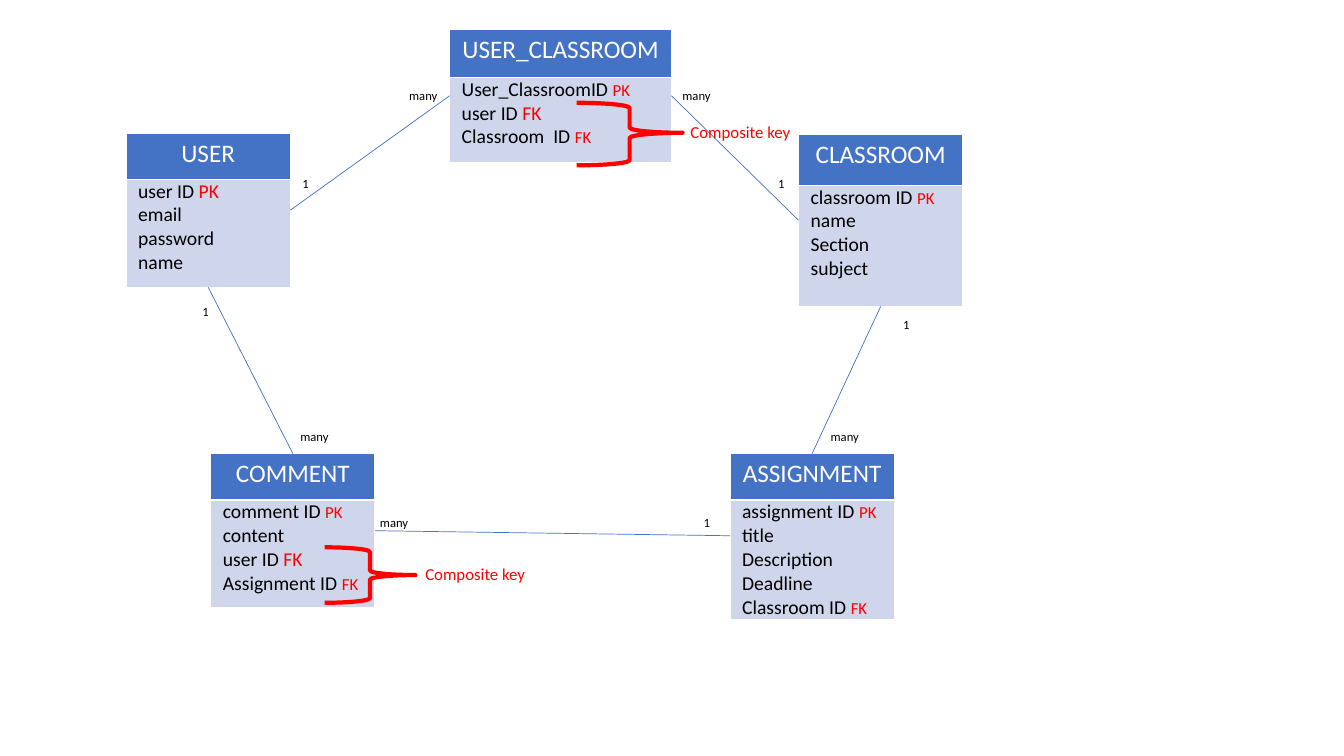
from dataclasses import dataclass

from lxml.etree import SubElement
from pptx import Presentation
from pptx.dml.color import RGBColor
from pptx.enum.shapes import MSO_CONNECTOR as Line, MSO_SHAPE as Shape
from pptx.enum.text import MSO_AUTO_SIZE as Fit, PP_ALIGN as Align
from pptx.oxml import parse_xml
from pptx.oxml.ns import nsdecls, qn
from pptx.util import Emu, Pt

PX = 9144  # 100 px to the inch
BLUE, PALE, RED, BLACK, WHITE = "4472C4", "CFD5EA", "FF0000", "000000", "FFFFFF"


@dataclass
class Field:
    name: str
    key: str = ""
    size: int = 12


@dataclass
class Entity:
    title: str
    left: int
    top: int
    width: int
    head: int
    body: int
    fields: list[Field]

    def side(self, name: str) -> tuple[float, float]:
        """Middle of one edge, in px."""
        high = self.head + self.body
        across, down = {"left": (0, 0.5), "right": (1, 0.5), "bottom": (0.5, 1), "top": (0.5, 0)}[name]
        return self.left + across * self.width, self.top + down * high


@dataclass
class Link:
    start: Entity
    leave: str
    end: Entity
    enter: str


@dataclass
class Label:
    text: str
    left: int
    top: int
    width: int
    height: int = 25
    size: int = 9
    color: str = BLACK


@dataclass
class Brace:
    left: int
    top: int
    width: int
    height: int
    curve: float = 0.083
    point: float = 0.5


USER = Entity("USER", 125, 132, 163, 46, 107, [
    Field("user ID ", "PK", 14), Field("email"), Field("password"), Field("name")])
ROOM = Entity("CLASSROOM", 792, 133, 163, 51, 120, [
    Field("classroom ID ", "PK"), Field("name"), Field("Section"), Field("subject")])
MEMBER = Entity("USER_CLASSROOM", 446, 29, 220, 48, 84, [
    Field("User_ClassroomID ", "PK"), Field("user ID ", "FK", 14), Field("Classroom  ID ", "FK")])
COMMENT = Entity("COMMENT", 209, 450, 163, 46, 107, [
    Field("comment ID ", "PK"), Field("content"), Field("user ID ", "FK", 14),
    Field("Assignment ID ", "FK")])
TASK = Entity("ASSIGNMENT", 724, 450, 163, 46, 117, [
    Field("assignment ID ", "PK"), Field("title"), Field("Description"), Field("Deadline"),
    Field("Classroom ID ", "FK")])

LINKS = [
    Link(MEMBER, "left", USER, "right"),
    Link(MEMBER, "right", ROOM, "left"),
    Link(USER, "bottom", COMMENT, "top"),
    Link(TASK, "left", COMMENT, "right"),
    Link(ROOM, "bottom", TASK, "top"),
]
MANY = [(396, 82), (667, 82), (814, 421), (367, 506), (288, 421)]
ONE = [(290, 170), (191, 297), (688, 506), (886, 309), (762, 170)]
BRACES = [Brace(322, 543, 90, 55), Brace(572, 102, 105, 62, point=0.48)]
NOTES = [(412, 554), (675, 116)]
LABELS = (
    [Label("many", x, y, 51) for x, y in MANY]
    + [Label("1", x, y, 30) for x, y in ONE]
    + [Label("Composite key", x, y, 146, 30, 12, RED) for x, y in NOTES]
)


def px(size: float) -> Emu:
    return Emu(round(size * PX))


def rgb(code: str) -> RGBColor:
    return RGBColor.from_string(code)


def style(run, size: int, color: str) -> None:
    font = run.font
    font.name, font.size, font.bold = "Calibri", Pt(size), False
    font.color.rgb = rgb(color)


def paint(cell, color: str) -> None:
    cell.fill.solid()
    cell.fill.fore_color.rgb = rgb(color)


def border(cell) -> None:
    props = cell._tc.get_or_add_tcPr()
    for spot, tag in enumerate(("lnL", "lnR", "lnT", "lnB")):
        props.insert(spot, parse_xml(
            f'<a:{tag} {nsdecls("a")} w="{Pt(1)}"><a:solidFill>'
            f'<a:srgbClr val="{WHITE}"/></a:solidFill></a:{tag}>'))


def draw_entity(slide, item: Entity) -> None:
    frame = slide.shapes.add_table(
        2, 1, px(item.left), px(item.top), px(item.width), px(item.head + item.body))
    table = frame.table
    table.rows[0].height, table.rows[1].height = px(item.head), px(item.body)
    head, body = table.cell(0, 0), table.cell(1, 0)

    paint(head, BLUE)
    head.text_frame.text = item.title
    para = head.text_frame.paragraphs[0]
    para.alignment = Align.CENTER
    style(para.runs[0], 18, WHITE)

    paint(body, PALE)
    border(body)
    body.margin_left = body.margin_right = px(12)
    body.margin_top = body.margin_bottom = 0
    body.text_frame.text = "\n".join(field.name for field in item.fields)
    for para, field in zip(body.text_frame.paragraphs, item.fields):
        style(para.runs[0], 14, BLACK)
        if field.key:
            run = para.add_run()
            run.text = field.key
            style(run, field.size, RED)


def draw_link(slide, item: Link) -> None:
    ends = item.start.side(item.leave) + item.end.side(item.enter)
    line = slide.shapes.add_connector(Line.STRAIGHT, *map(px, ends))
    line.line.color.rgb = rgb(BLUE)
    line.line.width = Pt(0.5)
    SubElement(line._element.spPr, qn("a:effectLst"))


def draw_label(slide, item: Label) -> None:
    box = slide.shapes.add_textbox(*map(px, (item.left, item.top, item.width, item.height)))
    frame = box.text_frame
    frame.word_wrap = True
    frame.auto_size = Fit.SHAPE_TO_FIT_TEXT
    frame.text = item.text
    style(frame.paragraphs[0].runs[0], item.size, item.color)


def draw_brace(slide, item: Brace) -> None:
    brace = slide.shapes.add_shape(
        Shape.LEFT_BRACE, *map(px, (item.left, item.top, item.width, item.height)))
    brace.adjustments[0], brace.adjustments[1] = item.curve, item.point
    brace._element.spPr.xfrm.set("flipH", "1")
    brace.shadow.inherit = False
    brace.fill.background()
    brace.line.color.rgb = rgb(RED)
    brace.line.width = Pt(3)


def main() -> None:
    deck = Presentation()
    deck.slide_width, deck.slide_height = px(1333), px(750)
    slide = deck.slides.add_slide(deck.slide_layouts[6])
    for entity in (USER, ROOM, MEMBER, COMMENT, TASK):
        draw_entity(slide, entity)
    for link in LINKS:
        draw_link(slide, link)
    for brace in BRACES:
        draw_brace(slide, brace)
    for label in LABELS:
        draw_label(slide, label)
    deck.save("out.pptx")


if __name__ == "__main__":
    main()
